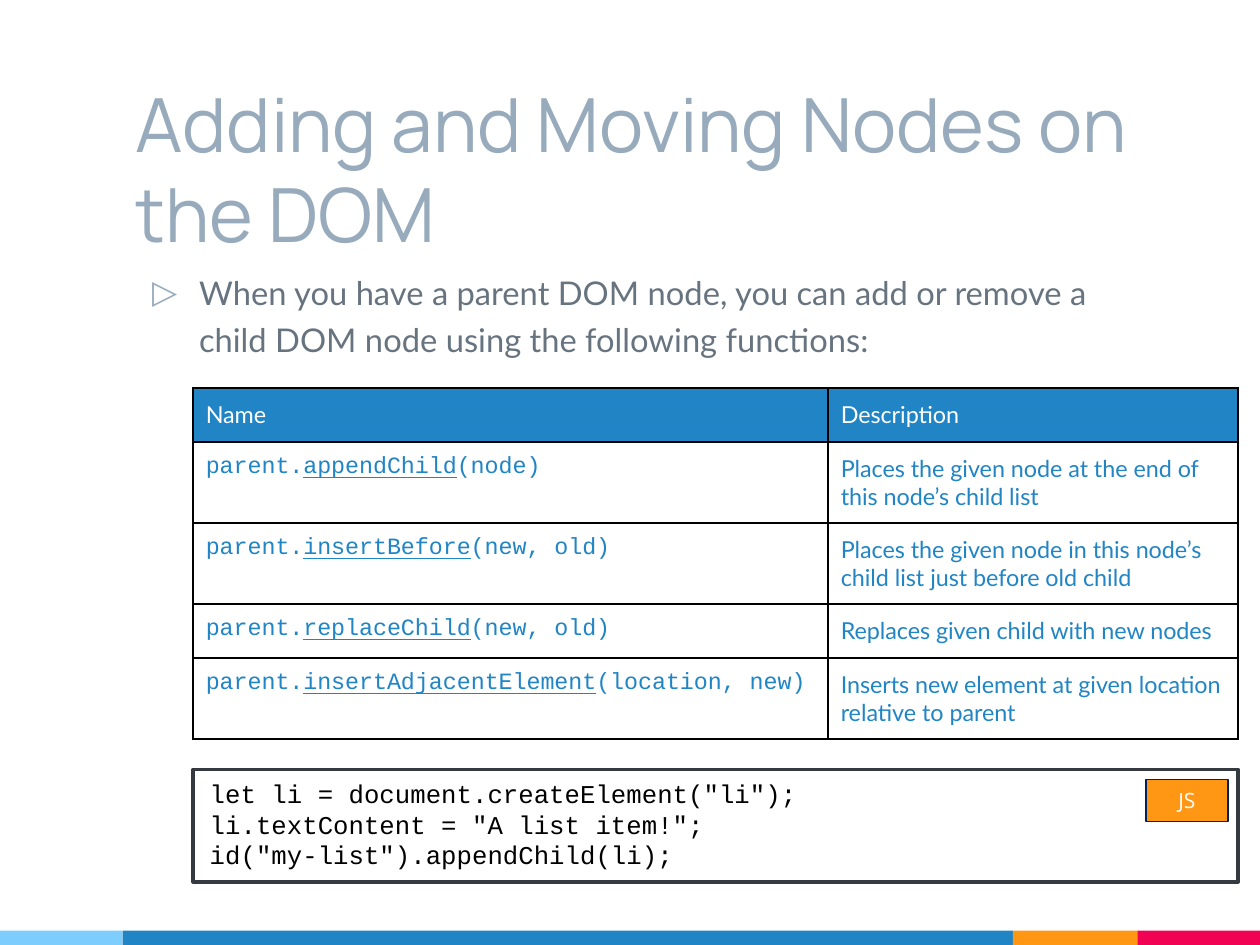
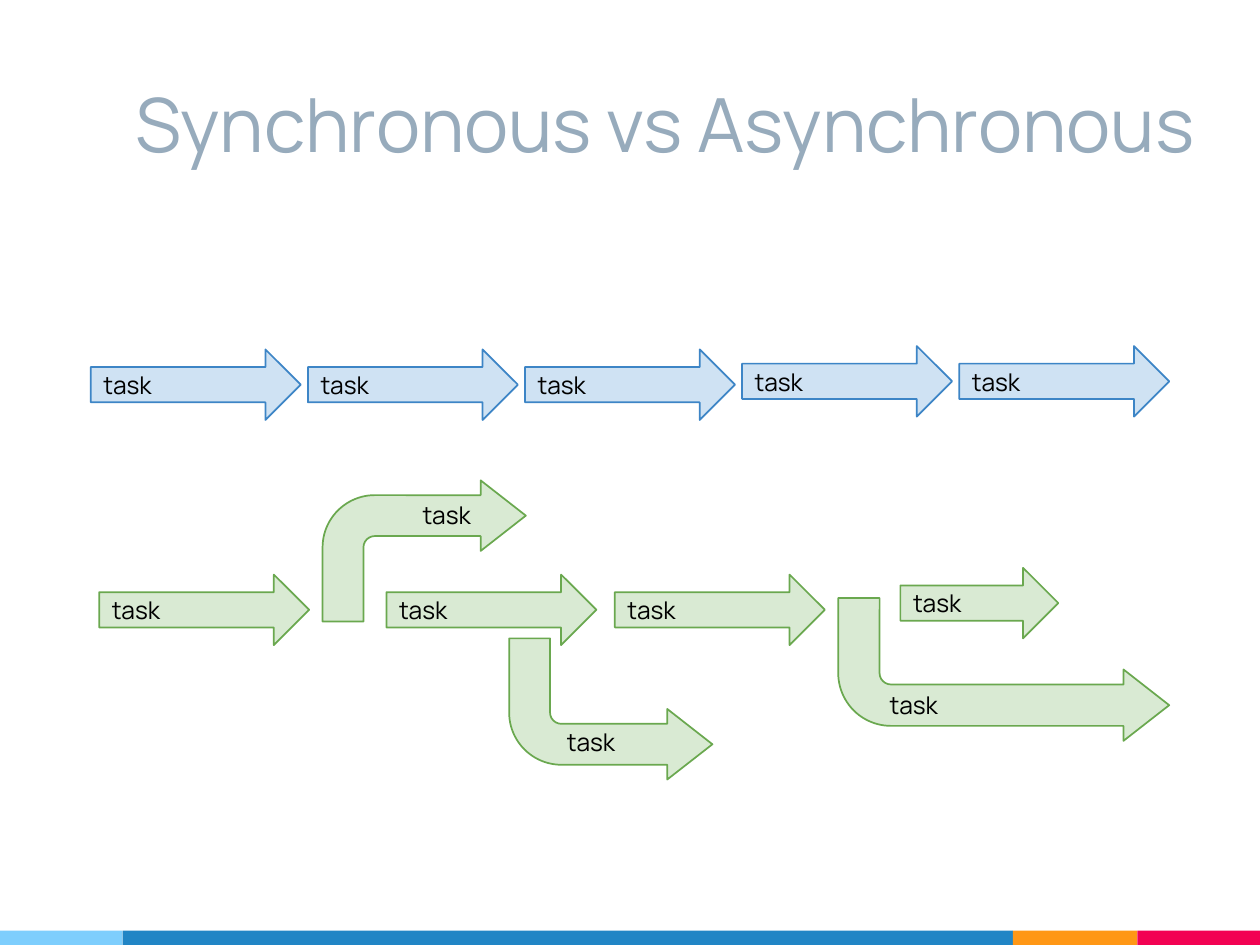
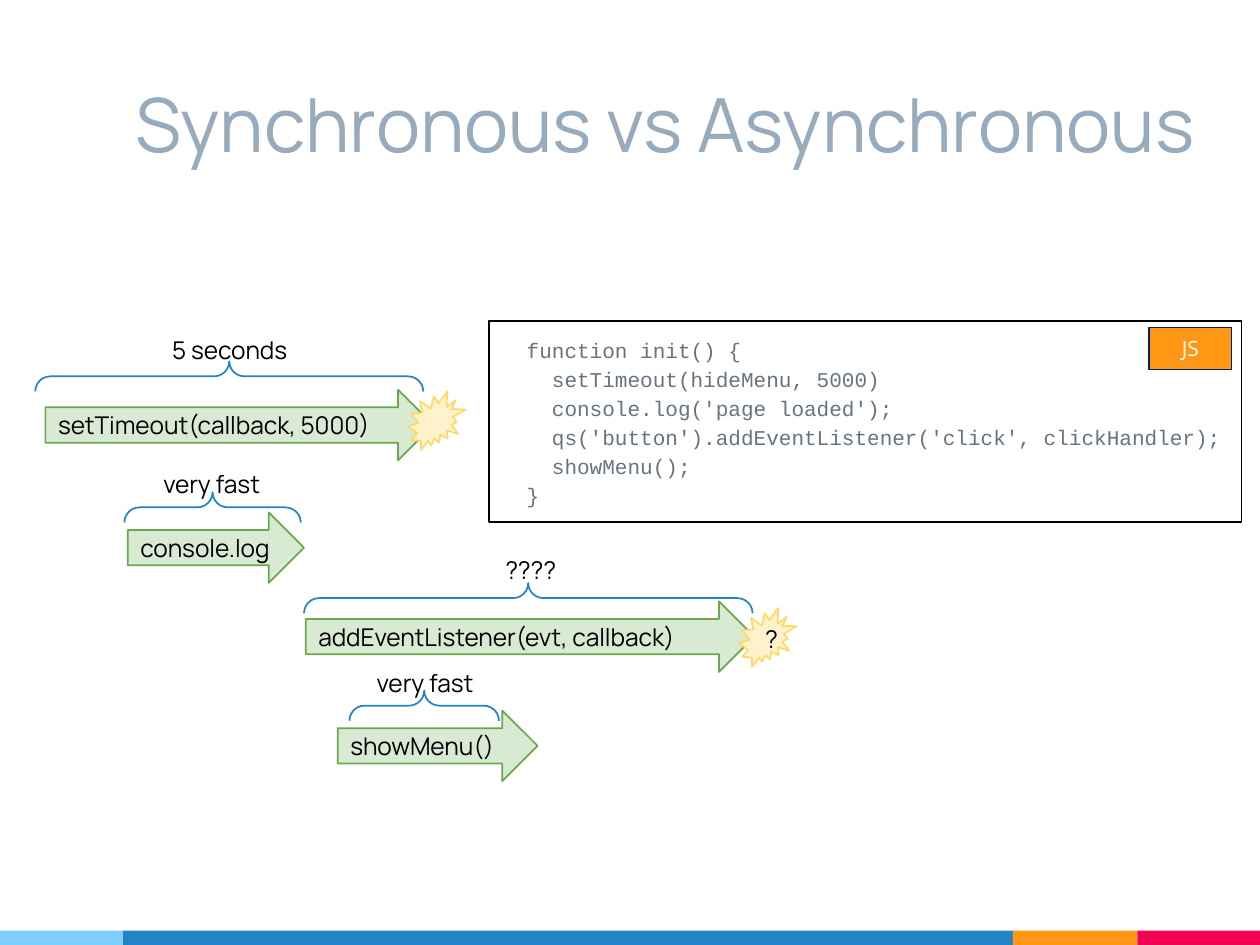
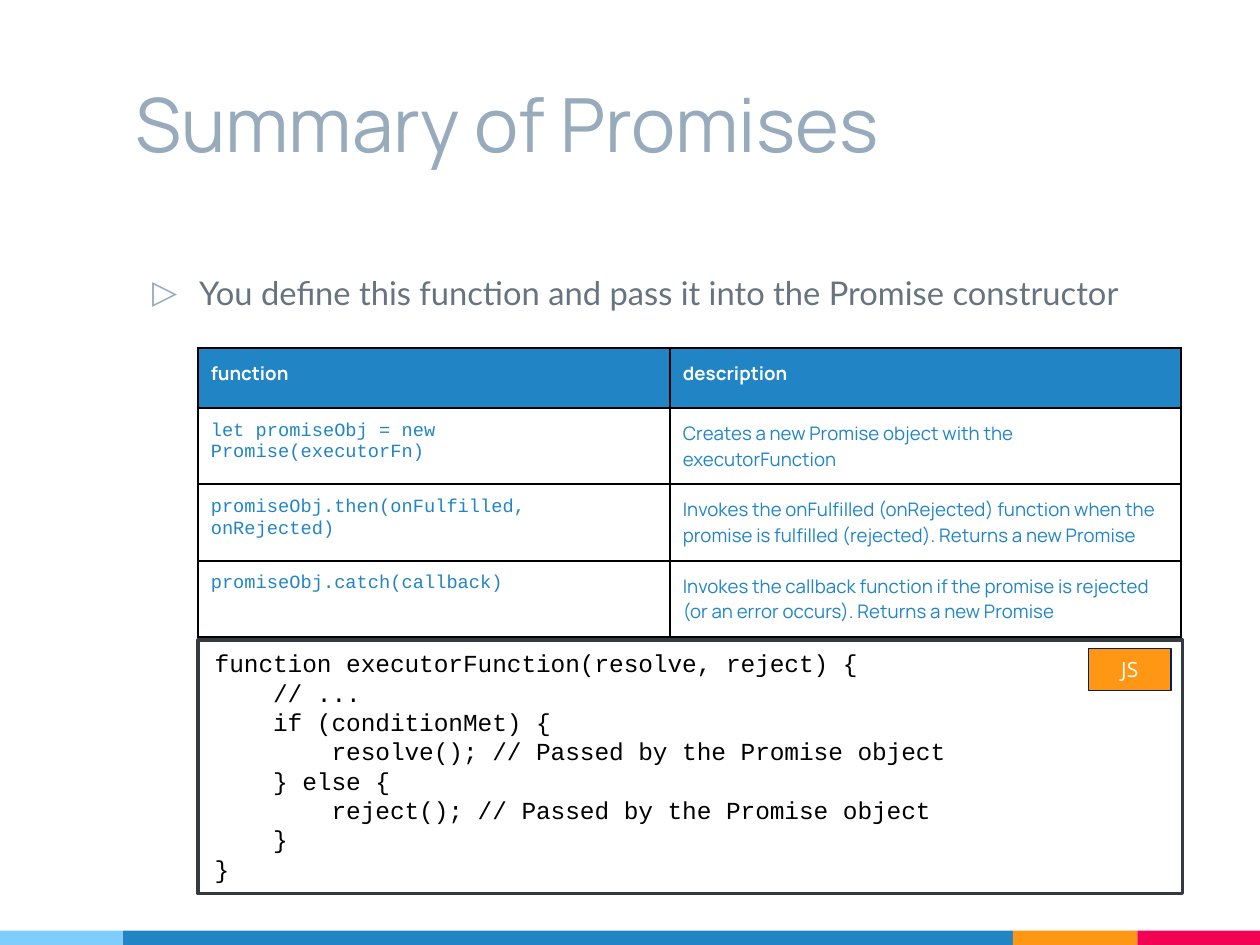
from lxml.etree import SubElement
from pptx import Presentation
from pptx.dml.color import RGBColor
from pptx.enum.shapes import MSO_SHAPE
from pptx.enum.text import MSO_ANCHOR, MSO_AUTO_SIZE, PP_ALIGN
from pptx.oxml.ns import qn
from pptx.util import Inches, Pt

# Shared look
BLUE, SKY, ORANGE, PINK = "2185C5", "7ECEFD", "FF9715", "F20253"
STEEL, SLATE, BLACK, WHITE = "97ABBC", "677480", "000000", "FFFFFF"
CHARCOAL, NAVY = "343A40", "002060"
SYNC = ("CFE2F3", "3D85C6")
ASYNC = ("D9EAD3", "6AA84F")
BURST = ("FFF2CC", "FFD966")
HEADING, BODY, CODE, BADGE = "Manrope", "Lato", "Courier New", "Open Sans"
SLIDE_WIDTH = 7.5
SLIDE_HEIGHT = SLIDE_WIDTH * 3 / 4
MARGIN = Pt(5.4)
NARROW, WIDE = (MARGIN, MARGIN), (Inches(0.1), Inches(0.05))
ARROW_HEIGHT, BRACE_DEPTH = 0.42, 0.18
LABEL_SIZE = 10.5
LEFT, CENTER = PP_ALIGN.LEFT, PP_ALIGN.CENTER
TOP, MIDDLE = MSO_ANCHOR.TOP, MSO_ANCHOR.MIDDLE


def color(value):
    return RGBColor.from_string(value)


def inches(box):
    return [Inches(length) for length in box]


def set_font(font, name, size, ink, bold=False):
    font.name, font.size, font.bold = name, Pt(size), bold
    font.color.rgb = color(ink)


def set_frame(frame, anchor=TOP, margins=NARROW):
    frame.word_wrap = True
    frame.auto_size = MSO_AUTO_SIZE.NONE
    frame.vertical_anchor = anchor
    frame.margin_left = frame.margin_right = margins[0]
    frame.margin_top = frame.margin_bottom = margins[1]


def write_lines(frame, lines, name, size, ink, align=LEFT, spacing=None):
    for index, line in enumerate(lines):
        para = frame.paragraphs[0] if index == 0 else frame.add_paragraph()
        para.text = line
        para.alignment = align
        para.line_spacing = spacing
        set_font(para.font, name, size, ink)


def add_figure(page, kind, box, fill=None, line=None, width=0.75):
    figure = page.shapes.add_shape(kind, *inches(box))
    figure.shadow.inherit = False
    if fill:
        figure.fill.solid()
        figure.fill.fore_color.rgb = color(fill)
    else:
        figure.fill.background()
    if line:
        figure.line.color.rgb = color(line)
        figure.line.width = Pt(width)
    else:
        figure.line.fill.background()
    return figure


# Footer band, placed on the master
def add_footer_band(deck, page):
    edges = [0, 0.73, 6.03, 6.77, SLIDE_WIDTH]
    top = 5.54
    tree = deck.slide_master.shapes.element
    for index, fill in enumerate((SKY, BLUE, ORANGE, PINK)):
        box = (edges[index], top, edges[index + 1] - edges[index],
               SLIDE_HEIGHT - top)
        bar = add_figure(page, MSO_SHAPE.RECTANGLE, box, fill)
        bar.element.nvSpPr.cNvPr.set("id", str(100 + index))
        tree.append(bar.element)


# Title and bullet placeholders
def place(holder, box):
    holder.left, holder.top, holder.width, holder.height = inches(box)
    set_frame(holder.text_frame)
    return holder.text_frame


def add_page(deck, title, width=6.22, bullet=None):
    layout = deck.slide_layouts.get_by_name(
        "Title and Content" if bullet else "Title Only")
    page = deck.slides.add_slide(layout)
    frame = place(page.shapes.title, (0.73, 0.39, width, 0.94))
    write_lines(frame, [title], HEADING, 32, STEEL)
    if bullet:
        add_bullet(place(page.placeholders[1], (0.73, 1.5, 6.22, 3.88)), bullet)
    return page


def add_bullet(frame, text):
    para = frame.paragraphs[0]
    para.text = text
    para.line_spacing = 1.2
    para.space_before = Pt(0)
    props = para._p.get_or_add_pPr()
    props.set("marL", str(Inches(0.38)))
    props.set("indent", str(Inches(-0.28)))
    ink = SubElement(props, qn("a:buClr"))
    SubElement(ink, qn("a:srgbClr")).set("val", STEEL)
    SubElement(props, qn("a:buChar")).set("char", "▷")
    set_font(para.font, BODY, 14, SLATE)


# Tables
def add_borders(cell):
    props = cell._tc.get_or_add_tcPr()
    for index, side in enumerate(("lnL", "lnR", "lnT", "lnB")):
        line = props.makeelement(qn(f"a:{side}"), {"w": str(Pt(1))})
        fill = SubElement(line, qn("a:solidFill"))
        SubElement(fill, qn("a:srgbClr")).set("val", BLACK)
        props.insert(index, line)


def add_cell(cell, parts, name, size, header):
    cell.margin_left = cell.margin_right = MARGIN
    cell.margin_top = cell.margin_bottom = MARGIN
    if header:
        cell.fill.solid()
        cell.fill.fore_color.rgb = color(BLUE)
    else:
        cell.fill.background()
    add_borders(cell)
    para = cell.text_frame.paragraphs[0]
    set_font(para.font, name, size, WHITE if header else BLUE,
             header and name == HEADING)
    # The second part of a call is its underlined function name
    for index, part in enumerate(parts):
        span = para.add_run()
        span.text = part
        if index == 1:
            span.font.underline = True


def add_function_table(page, left, top, widths, heights, rows, name, size):
    frame = page.shapes.add_table(
        len(rows), len(widths),
        *inches((left, top, sum(widths), sum(heights))))
    table = frame.table
    table.first_row = table.horz_banding = False
    for column, width in zip(table.columns, widths):
        column.width = Inches(width)
    for index, (call, description) in enumerate(rows):
        table.rows[index].height = Inches(heights[index])
        header = index == 0
        add_cell(table.cell(index, 0), call, name if header else CODE, size, header)
        add_cell(table.cell(index, 1), [description], name, size, header)


# Code box with its language badge
def add_code_box(page, box, code, size, badge_at, ink=BLACK, fill=None,
                 line=CHARCOAL, width=1.5, margins=WIDE, spacing=None):
    panel = add_figure(page, MSO_SHAPE.RECTANGLE, box, fill, line, width)
    set_frame(panel.text_frame, margins=margins)
    write_lines(panel.text_frame, code, CODE, size, ink, spacing=spacing)
    badge_box = (box[0] + badge_at[0], box[1] + badge_at[1], 0.49, 0.25)
    badge = add_figure(page, MSO_SHAPE.RECTANGLE, badge_box, ORANGE, NAVY)
    set_frame(badge.text_frame, margins=WIDE)
    write_lines(badge.text_frame, ["JS"], BADGE, 9, WHITE, CENTER)


# Parts of the task diagrams
def add_label(page, left, top, width, text, align=LEFT):
    label = page.shapes.add_textbox(*inches((left, top, width, 0.33)))
    set_frame(label.text_frame)
    write_lines(label.text_frame, [text], HEADING, LABEL_SIZE, BLACK, align)


def add_arrow(page, left, top, width, text, colors=ASYNC):
    box = (left, top, width, ARROW_HEIGHT)
    arrow = add_figure(page, MSO_SHAPE.RIGHT_ARROW, box, *colors)
    set_frame(arrow.text_frame, MIDDLE)
    write_lines(arrow.text_frame, [text], HEADING, LABEL_SIZE, BLACK)


def add_bent_arrow(page, box, label_at, downward):
    arrow = add_figure(page, MSO_SHAPE.BENT_ARROW, box, *ASYNC)
    for index, value in enumerate((0.29, 0.25, 0.32, 0.37)):
        arrow.adjustments[index] = value
    if downward:
        arrow.rotation = 180
        arrow.element.spPr.find(qn("a:xfrm")).set("flipH", "1")
    add_label(page, box[0] + label_at[0], box[1] + label_at[1], 0.67, "task")


def add_brace(page, left, top, width):
    shift = (width - BRACE_DEPTH) / 2
    box = (left + shift, top - shift, BRACE_DEPTH, width)
    brace = add_figure(page, MSO_SHAPE.RIGHT_BRACE, box, line=BLUE)
    brace.adjustments[0] = brace.adjustments[1] = 0.5
    brace.rotation = 270


def add_burst(page, left, top, text=None):
    burst = add_figure(page, MSO_SHAPE.EXPLOSION2, (left, top, 0.34, 0.35), *BURST)
    if text:
        set_frame(burst.text_frame, MIDDLE)
        write_lines(burst.text_frame, [text], HEADING, LABEL_SIZE, BLACK)


# Slides
def build_nodes(deck):
    page = add_page(
        deck, "Adding and Moving Nodes on the DOM",
        bullet="When you have a parent DOM node, you can add or remove a "
               "child DOM node using the following functions:")
    add_footer_band(deck, page)
    code = ['let li = document.createElement("li");',
            'li.textContent = "A list item!";',
            'id("my-list").appendChild(li);']
    add_code_box(page, (1.15, 4.58, 6.22, 0.67), code, 11, (5.67, 0.06))
    rows = [
        (["Name"], "Description"),
        (["parent.", "appendChild", "(node)"],
         "Places the given node at the end of this node’s child list"),
        (["parent.", "insertBefore", "(new, old)"],
         "Places the given node in this node’s child list just before old child"),
        (["parent.", "replaceChild", "(new, old)"],
         "Replaces given child with new nodes"),
        (["parent.", "insertAdjacentElement", "(location, new)"],
         "Inserts new element at given location relative to parent"),
    ]
    add_function_table(page, 1.15, 2.31, [3.78, 2.44],
                       [0.32, 0.48, 0.48, 0.32, 0.48], rows, BODY, 10)


def build_tasks(deck):
    page = add_page(deck, "Synchronous vs Asynchronous", 6.59)
    first, last, count = 0.54, 5.71, 5
    step = (last - first) / (count - 1)
    for index in range(count):
        top = 2.08 if index < 3 else 2.06
        add_arrow(page, first + index * step, top, 1.25, "task", SYNC)
    for left, top, width in ((0.59, 3.42, 1.25), (2.3, 3.42, 1.25),
                             (3.66, 3.42, 1.25), (5.36, 3.38, 0.94)):
        add_arrow(page, left, top, width, "task")
    add_bent_arrow(page, (1.92, 2.86, 1.21, 0.84), (0.52, 0.04), False)
    add_bent_arrow(page, (3.03, 3.8, 1.21, 0.84), (0.27, 0.45), True)
    add_bent_arrow(page, (4.99, 3.56, 1.97, 0.85), (0.23, 0.47), True)


def build_timeline(deck):
    page = add_page(deck, "Synchronous vs Asynchronous", 6.56)
    code = ["  function init() {",
            "    setTimeout(hideMenu, 5000)",
            "    console.log('page loaded');",
            "    qs('button').addEventListener('click', clickHandler);",
            "    showMenu();",
            "  }"]
    add_code_box(page, (2.91, 1.91, 4.48, 1.2), code, 9, (3.93, 0.04), SLATE,
                 WHITE, BLACK, 0.75, NARROW, 1.15)
    arrows = [(0.27, 2.32, 2.31, "setTimeout(callback, 5000)"),
              (0.76, 3.05, 1.05, "console.log"),
              (1.82, 3.58, 2.67, "addEventListener(evt, callback)"),
              (2.01, 4.23, 1.19, "showMenu()")]
    for arrow in arrows:
        add_arrow(page, *arrow)
    for brace in ((0.21, 2.15, 2.31), (0.74, 2.93, 1.05),
                  (1.81, 3.47, 2.67), (2.08, 4.11, 0.89)):
        add_brace(page, *brace)
    add_label(page, 0.95, 1.92, 0.95, "5 seconds")
    for label in ((0.85, 2.72, 0.82, "very fast"), (2.61, 3.23, 1.1, "????"),
                  (2.12, 3.9, 0.82, "very fast")):
        add_label(page, *label, CENTER)
    add_burst(page, 2.43, 2.33)
    add_burst(page, 4.4, 3.62, "?")


def build_promises(deck):
    page = add_page(
        deck, "Summary of Promises",
        bullet="You define this function and pass it into the Promise constructor")
    rows = [
        (["function"], "description"),
        (["let promiseObj = new Promise(executorFn)"],
         "Creates a new Promise object with the executorFunction"),
        (["promiseObj.then(onFulfilled, onRejected)"],
         "Invokes the onFulfilled (onRejected) function when the promise is "
         "fulfilled (rejected). Returns a new Promise"),
        (["promiseObj.catch(callback)"],
         "Invokes the callback function if the promise is rejected "
         "(or an error occurs). Returns a new Promise"),
    ]
    add_function_table(page, 1.18, 2.07, [2.81, 3.04],
                       [0.36, 0.45, 0.45, 0.45], rows, HEADING, 8)
    code = ["function executorFunction(resolve, reject) {",
            "    // ...",
            "    if (conditionMet) {",
            "        resolve(); // Passed by the Promise object",
            "    } else {",
            "        reject(); // Passed by the Promise object",
            "    }",
            "}"]
    add_code_box(page, (1.18, 3.81, 5.86, 1.51), code, 10.5, (5.3, 0.05))


def main():
    deck = Presentation()
    deck.slide_width, deck.slide_height = inches((SLIDE_WIDTH, SLIDE_HEIGHT))
    for build in (build_nodes, build_tasks, build_timeline, build_promises):
        build(deck)
    deck.save("out.pptx")


if __name__ == "__main__":
    main()
